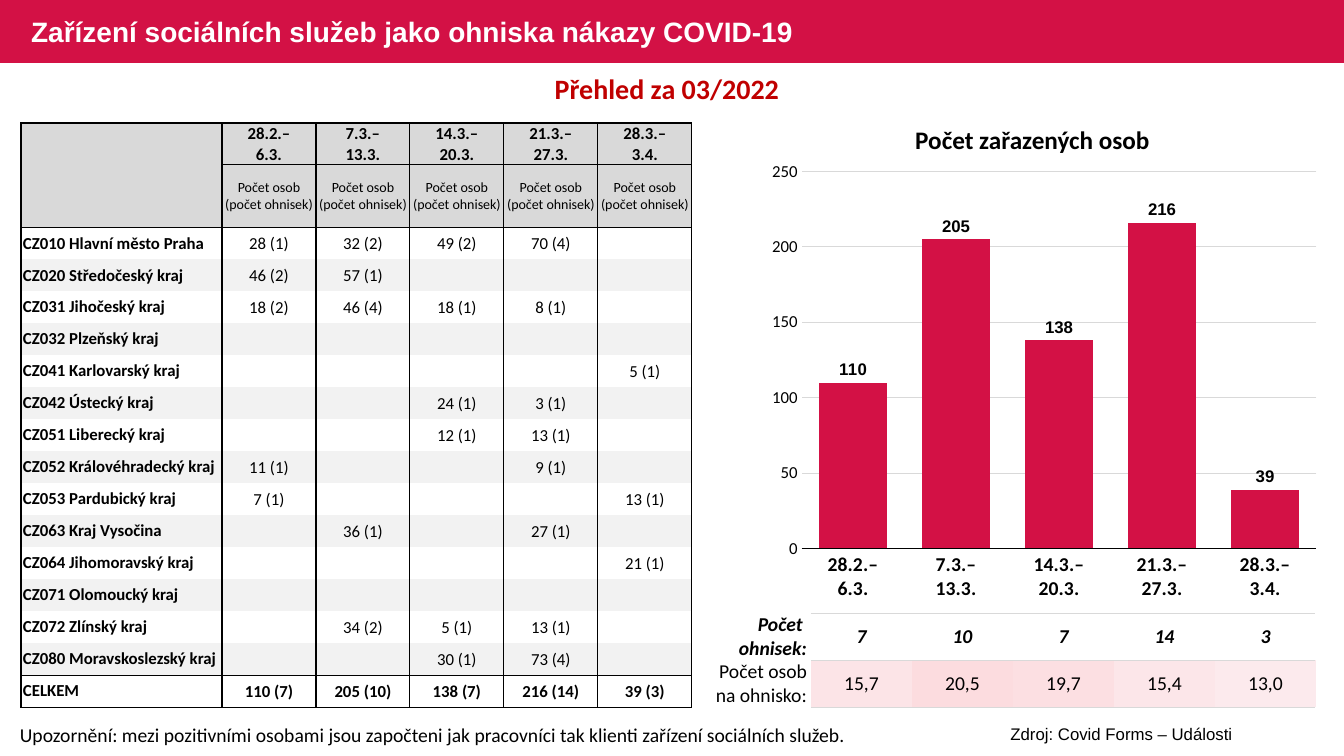
from dataclasses import dataclass

from lxml import etree
from pptx import Presentation
from pptx import util as u
from pptx.chart.data import CategoryChartData
from pptx.dml.color import RGBColor
from pptx.enum import chart as charts
from pptx.enum import shapes, text
from pptx.oxml import parse_xml
from pptx.oxml.ns import nsdecls, qn


@dataclass(frozen=True)
class Theme:
    brand: str = "D31145"
    accent: str = "C00000"
    ink: str = "000000"
    white: str = "FFFFFF"
    head: str = "D9D9D9"
    band: str = "F2F2F2"
    sans: str = "Arial"
    body: str = "Calibri"
    title: int = 20
    heading: int = 18
    large: int = 14
    normal: int = 12
    small: int = 10


T = Theme()
ALIGN = text.PP_ALIGN
MIDDLE = text.MSO_ANCHOR.MIDDLE

WEEKS = ["28.2.–\n6.3.", "7.3.–\n13.3.", "14.3.–\n20.3.", "21.3.–\n27.3.", "28.3.–\n3.4."]
PEOPLE = [110, 205, 138, 216, 39]
OUTBREAKS = ["7", "10", "7", "14", "3"]
RATIOS = ["15,7", "20,5", "19,7", "15,4", "13,0"]
RATIO_FILLS = ["FCE4E7", "FCDCDF", "FCDFE2", "FCE6E9", "FCEAED"]
REGIONS = [
    ["CZ010 Hlavní město Praha", "28 (1)", "32 (2)", "49 (2)", "70 (4)", ""],
    ["CZ020 Středočeský kraj", "46 (2)", "57 (1)", "", "", ""],
    ["CZ031 Jihočeský kraj", "18 (2)", "46 (4)", "18 (1)", "8 (1)", ""],
    ["CZ032 Plzeňský kraj", "", "", "", "", ""],
    ["CZ041 Karlovarský kraj", "", "", "", "", "5 (1)"],
    ["CZ042 Ústecký kraj", "", "", "24 (1)", "3 (1)", ""],
    ["CZ051 Liberecký kraj", "", "", "12 (1)", "13 (1)", ""],
    ["CZ052 Královéhradecký kraj", "11 (1)", "", "", "9 (1)", ""],
    ["CZ053 Pardubický kraj", "7 (1)", "", "", "", "13 (1)"],
    ["CZ063 Kraj Vysočina", "", "36 (1)", "", "27 (1)", ""],
    ["CZ064 Jihomoravský kraj", "", "", "", "", "21 (1)"],
    ["CZ071 Olomoucký kraj", "", "", "", "", ""],
    ["CZ072 Zlínský kraj", "", "34 (2)", "5 (1)", "13 (1)", ""],
    ["CZ080 Moravskoslezský kraj", "", "", "30 (1)", "73 (4)", ""],
]
TOTAL = ["CELKEM", "110 (7)", "205 (10)", "138 (7)", "216 (14)", "39 (3)"]


def px(n):
    return u.Emu(round(n * 914400 / 100.8))


def box(*lengths):
    return [px(n) for n in lengths]


def set_font(font, size, color=T.ink, name=T.body, bold=False, italic=False):
    font.size, font.name, font.bold, font.italic = u.Pt(size), name, bold, italic
    font.color.rgb = RGBColor.from_string(color)


def write(tf, content, size, align=ALIGN.LEFT, **fmt):
    p = tf.paragraphs[0]
    p.alignment = align
    for i, line in enumerate(content.split("\n")):
        if i:
            p.add_line_break()
        if line:
            r = p.add_run()
            r.text = line
            set_font(r.font, size, **fmt)
    if not content:
        p._p.get_or_add_endParaRPr().set("sz", str(size * 100))
    return p


def add_label(s, at, content, size, **fmt):
    tf = s.shapes.add_textbox(*box(*at)).text_frame
    tf.word_wrap = True
    tf.auto_size = text.MSO_AUTO_SIZE.SHAPE_TO_FIT_TEXT
    write(tf, content, size, **fmt)


def add_header(s, content):
    sp = s.shapes.add_shape(shapes.MSO_SHAPE.RECTANGLE, *box(0, 0, 1344, 63))
    sp.shadow.inherit = False
    sp.fill.solid()
    sp.fill.fore_color.rgb = RGBColor.from_string(T.brand)
    sp.line.fill.background()
    s.shapes._spTree.insert(2, sp._element)
    title = s.shapes.title
    title.left, title.top, title.width, title.height = box(21, 2, 819, 63)
    tf = title.text_frame
    tf.auto_size = text.MSO_AUTO_SIZE.NONE
    tf.vertical_anchor = MIDDLE
    p = write(tf, content, T.title, color=T.white, name=T.sans, bold=True)
    p.line_spacing = 0.9


def set_borders(cell, **lines):
    tc_pr = cell._tc.get_or_add_tcPr()
    for i, side in enumerate("LRTB"):
        line = lines[side]
        ln = etree.Element(qn(f"a:ln{side}"))
        if line:
            color, width = line
            ln.set("w", str(u.Pt(width)))
            fill = etree.SubElement(ln, qn("a:solidFill"))
            etree.SubElement(fill, qn("a:srgbClr"), val=color)
        else:
            etree.SubElement(ln, qn("a:noFill"))
        tc_pr.insert(i, ln)


def add_grid(s, left, top, cols, heights, rows, style, h_lines, first_col_lines, v_line=None):
    frame = s.shapes.add_table(len(rows), len(cols), *box(left, top, sum(cols), sum(heights)))
    table = frame.table
    table.first_row = table.horz_banding = False
    for col, width in zip(table.columns, cols):
        col.width = px(width)
    for row, height in zip(table.rows, heights):
        row.height = px(height)
    for i, row in enumerate(rows):
        for j, content in enumerate(row):
            cell = table.cell(i, j)
            fill, margins, fmt = style(i, j)
            cell.margin_left, cell.margin_top, cell.margin_right, cell.margin_bottom = box(*margins)
            cell.vertical_anchor = MIDDLE
            write(cell.text_frame, content, **fmt)
            if fill:
                cell.fill.solid()
                cell.fill.fore_color.rgb = RGBColor.from_string(fill)
            else:
                cell.fill.background()
            lines = h_lines if j else first_col_lines
            set_borders(cell, L=v_line, R=v_line, T=lines.get(i), B=lines.get(i + 1))


def region_style(i, j):
    last = len(REGIONS) + 2
    fill = T.head if i < 2 else T.band if i % 2 and i < last else None
    fmt = dict(size=T.small if i == 1 else T.normal, bold=i in (0, last) or j == 0,
               align=ALIGN.CENTER if j else ALIGN.LEFT)
    return fill, (1, 1, 1, 0) if j else (2, 0, 2, 0), fmt


def value_style(i, j):
    fmt = dict(size=T.large, bold=i == 0, italic=i == 0, align=ALIGN.CENTER)
    return RATIO_FILLS[j] if i else None, (1, 1, 1, 0), fmt


def caption_style(i, j):
    fmt = dict(size=T.large, bold=i == 0, italic=i == 0, align=ALIGN.RIGHT)
    return None, (1, 0, 4, 0), fmt


def add_people_chart(s):
    data = CategoryChartData()
    data.categories = WEEKS
    data.add_series("Series 1", PEOPLE)
    kind = charts.XL_CHART_TYPE.COLUMN_CLUSTERED
    chart = s.shapes.add_chart(kind, *box(762, 153, 566, 460), data).chart
    chart.has_legend = chart.has_title = False
    set_font(chart.font, T.large, name=T.sans, bold=True)

    plot = chart.plots[0]
    plot.gap_width = 50
    plot.vary_by_categories = False
    series = plot.series[0]
    series.format.fill.solid()
    series.format.fill.fore_color.rgb = RGBColor.from_string(T.brand)
    labels = series.data_labels
    labels.show_value = True
    labels.position = charts.XL_LABEL_POSITION.OUTSIDE_END
    set_font(labels.font, T.normal, name=T.sans, bold=True)

    weeks, people = chart.category_axis, chart.value_axis
    for axis in (weeks, people):
        axis.major_tick_mark = axis.minor_tick_mark = charts.XL_TICK_MARK.NONE
    set_font(weeks.tick_labels.font, T.large, bold=True)
    set_font(people.tick_labels.font, T.normal)
    people.minimum_scale, people.maximum_scale, people.major_unit = 0, 250, 50
    people.format.line.fill.background()
    for line, color in ((weeks.format.line, T.ink), (people.major_gridlines.format.line, T.head)):
        line.width = u.Pt(0.75)
        line.color.rgb = RGBColor.from_string(color)

    area = chart._chartSpace.chart.plotArea
    for old in area.findall(qn("c:layout")):
        area.remove(old)
    area.insert(0, parse_xml(
        f'<c:layout {nsdecls("c")}><c:manualLayout><c:layoutTarget val="inner"/>'
        '<c:xMode val="edge"/><c:yMode val="edge"/><c:x val="0.07"/><c:y val="0.04"/>'
        '<c:w val="0.91"/><c:h val="0.82"/></c:manualLayout></c:layout>'))


def main():
    prs = Presentation()
    prs.slide_width, prs.slide_height = box(1344, 756)
    s = prs.slides.add_slide(prs.slide_layouts[5])
    add_header(s, "Zařízení sociálních služeb jako ohniska nákazy COVID-19")
    add_grid(s, 811, 613, [101] * 5, [47] * 2, [OUTBREAKS, RATIOS], value_style, {}, {})
    add_label(s, (10, 718, 859, 34), "Upozornění: mezi pozitivními osobami jsou započteni "
              "jak pracovníci tak klienti zařízení sociálních služeb.", T.large)
    add_label(s, (21, 67, 1292, 44), "Přehled za 03/2022", T.title,
              color=T.accent, bold=True, align=ALIGN.CENTER)
    add_label(s, (910, 719, 423, 30), "Zdroj: Covid Forms – Události", T.normal,
              name=T.sans, align=ALIGN.CENTER)

    thick, thin, grey = (T.ink, 1), (T.ink, 0.5), (T.head, 0.75)
    rows = [[""] + WEEKS, [""] + ["Počet osob (počet ohnisek)"] * len(WEEKS), *REGIONS, TOTAL]
    outer = {0: thick, 2: thin, 16: thick, 17: thick}
    add_grid(s, 21, 123, [201] + [94] * 5, [41, 63] + [32] * 15, rows, region_style,
             {**outer, 1: thick}, outer, thick)

    add_people_chart(s)
    add_label(s, (762, 119, 541, 40), "Počet zařazených osob", T.heading,
              bold=True, align=ALIGN.CENTER)
    captions = [[caption] + [""] * 7 for caption in ("Počet  ohnisek:", "Počet osob na ohnisko:")]
    add_grid(s, 709, 613, [102] + [72] * 7, [47] * 2, captions, caption_style,
             {0: grey, 1: grey, 2: grey}, {})
    prs.save("out.pptx")


if __name__ == "__main__":
    main()
